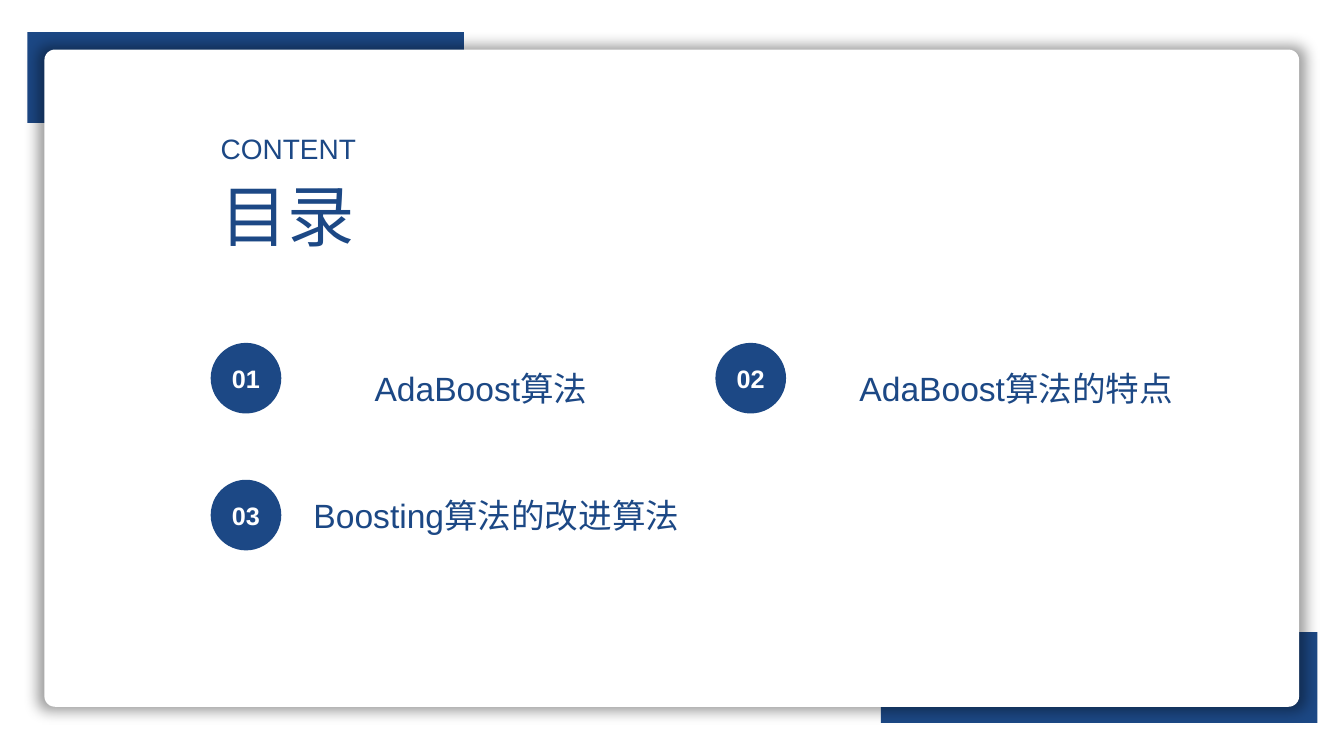
import pptx
import pptx.dml.color
import pptx.enum.shapes
import pptx.enum.text
import pptx.oxml
import pptx.oxml.ns
import pptx.util
from pptx.util import Cm

NAVY = pptx.dml.color.RGBColor(0x1C, 0x48, 0x85)
WHITE = pptx.dml.color.RGBColor(0xFF, 0xFF, 0xFF)
SHAPES = pptx.enum.shapes.MSO_SHAPE
ALIGN = pptx.enum.text.PP_ALIGN

BADGE_SIZE = 1.78
LABEL_HEIGHT = 1.27
# number, badge left and top, label left, top and width (cm), label
CHAPTERS = [
    ("01", 5.31, 8.64, 9.19, 9.14, 6.45, "AdaBoost算法"),
    ("02", 18.03, 8.64, 21.41, 9.14, 8.99, "AdaBoost算法的特点"),
    ("03", 5.31, 12.09, 7.65, 12.34, 9.83, "Boosting算法的改进算法"),
]


def add_block(slide, preset, left, top, width, height, color):
    block = slide.shapes.add_shape(preset, Cm(left), Cm(top), Cm(width), Cm(height))
    block.shadow.inherit = False
    block.fill.solid()
    block.fill.fore_color.rgb = color
    block.line.fill.background()
    return block


def write(frame, text, size, color, align, bold=False):
    paragraph = frame.paragraphs[0]
    paragraph.text = text
    paragraph.alignment = align
    paragraph.font.name = "Arial"
    paragraph.font.size = pptx.util.Pt(size)
    paragraph.font.bold = bold
    paragraph.font.color.rgb = color


def add_label(slide, left, top, width, height, text, size):
    label = slide.shapes.add_textbox(Cm(left), Cm(top), Cm(width), Cm(height))
    label.text_frame.word_wrap = True
    write(label.text_frame, text, size, NAVY, ALIGN.JUSTIFY)


def add_badge(slide, left, top, number):
    badge = add_block(slide, SHAPES.OVAL, left, top, BADGE_SIZE, BADGE_SIZE, NAVY)
    frame = badge.text_frame
    frame.margin_left = frame.margin_right = 0
    frame.vertical_anchor = pptx.enum.text.MSO_ANCHOR.MIDDLE
    write(frame, number, 18, WHITE, ALIGN.CENTER, bold=True)


def add_soft_shadow(shape):
    effects = shape.fill._xPr.find(pptx.oxml.ns.qn("a:effectLst"))
    effects.append(pptx.oxml.parse_xml(
        f'<a:outerShdw {pptx.oxml.ns.nsdecls("a")} blurRad="127000" sx="101000"'
        ' sy="101000" algn="ctr" rotWithShape="0">'
        '<a:srgbClr val="000000"><a:alpha val="40000"/></a:srgbClr></a:outerShdw>'))


def main():
    deck = pptx.Presentation()
    deck.slide_width, deck.slide_height = Cm(33.87), Cm(19.05)
    slide = deck.slides.add_slide(deck.slide_layouts[6])

    # Corner blocks behind the white panel
    for left, top in [(22.2, 15.93), (0.69, 0.81)]:
        add_block(slide, SHAPES.RECTANGLE, left, top, 11, 2.29, NAVY)
    panel = add_block(slide, SHAPES.ROUNDED_RECTANGLE, 1.12, 1.25, 31.62, 16.56, WHITE)
    panel.adjustments[0] = 0.016
    add_soft_shadow(panel)

    # Heading
    add_label(slide, 5.31, 4.27, 6.45, 2.31, "目录", 48)
    add_label(slide, 5.31, 3.2, 6.45, 1.12, "CONTENT", 20)

    # Chapters
    for number, badge_left, badge_top, left, top, width, title in CHAPTERS:
        add_badge(slide, badge_left, badge_top, number)
        add_label(slide, left, top, width, LABEL_HEIGHT, title, 24)

    deck.save("out.pptx")


if __name__ == "__main__":
    main()
